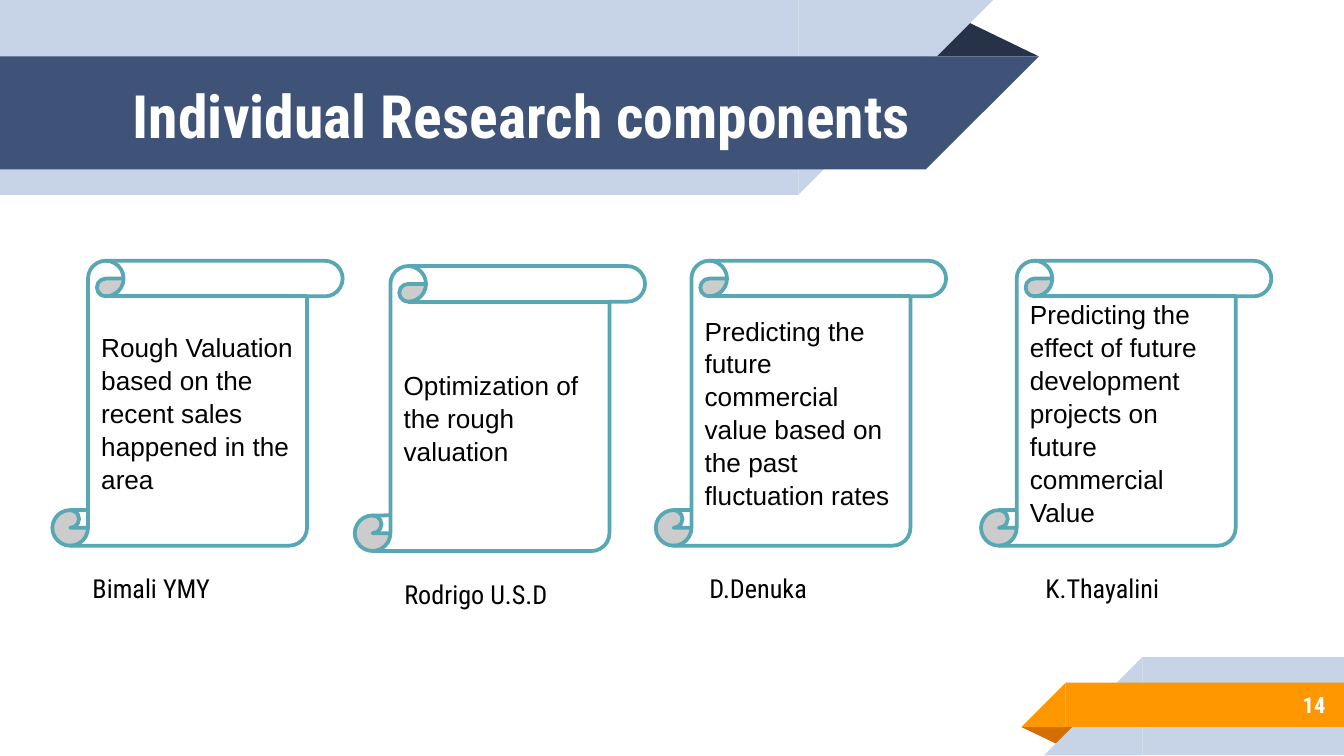
"""Build the slide that lists the individual research components."""
from dataclasses import dataclass
from typing import Optional

from pptx import Presentation
from pptx.dml.color import RGBColor
from pptx.enum.shapes import MSO_SHAPE as Shape
from pptx.enum.text import MSO_ANCHOR as Anchor, PP_ALIGN as Align
from pptx.util import Inches, Pt

COLORS = {
    "pale": "C7D3E6", "navy": "3F5378", "dark": "263248",
    "orange": "FF9800", "rust": "D26F00", "teal": "57A7B5",
    "white": "FFFFFF", "black": "000000",
}
COLUMNS, ROWS = 100, 56.25
CELL = Inches(10) / COLUMNS
HEADING, BODY = "Roboto Condensed", "Arial"


@dataclass(frozen=True)
class Box:
    left: float
    top: float
    width: float
    height: float

    def emu(self) -> list[int]:
        return [round(v * CELL) for v in (self.left, self.top, self.width, self.height)]


@dataclass(frozen=True)
class Ribbon:
    tip: float
    top: float
    height: float
    color: str
    from_left: bool


@dataclass(frozen=True)
class Fold:
    box: Box
    color: str
    rotation: int


@dataclass(frozen=True)
class Style:
    size: int
    font: str
    color: str
    bold: bool = False
    align: Optional[Align] = None
    anchor: Anchor = Anchor.TOP
    spacing: Optional[float] = None


@dataclass(frozen=True)
class Component:
    scroll_left: float
    scroll_top: float
    topic: str
    name_box: Box
    name: str


RIBBONS_TOP = [Ribbon(73.9, 0, 14.5, "pale", True), Ribbon(77.3, 4.2, 8.4, "navy", True)]
RIBBONS_BOTTOM = [Ribbon(77.7, 48.9, 7.3, "pale", False), Ribbon(76, 50.8, 3.3, "orange", False)]
FOLD_TOP = Fold(Box(68.8, 1.4, 8.5, 2.8), "dark", 0)
FOLD_BOTTOM = Fold(Box(76, 54.1, 4.3, 1.4), "rust", 180)

TITLE = Style(32, HEADING, "white", bold=True, anchor=Anchor.MIDDLE)
TOPIC = Style(14, BODY, "black", align=Align.LEFT, anchor=Anchor.MIDDLE, spacing=1.05)
NAME = Style(14, HEADING, "black")
NUMBER = Style(12, HEADING, "white", bold=True, align=Align.RIGHT, anchor=Anchor.MIDDLE)

COMPONENTS = [
    Component(3.9, 19.4, "Rough Valuation based on the recent sales happened in the area",
              Box(5.9, 41.6, 17.6, 5.5), "Bimali YMY"),
    Component(26.4, 19.8, "Optimization of the rough valuation",
              Box(29.1, 42, 13.1, 4.5), "Rodrigo U.S.D"),
    Component(48.8, 19.4, "Predicting the future commercial value based on the past fluctuation rates",
              Box(51.8, 41.6, 13.1, 5.5), "D.Denuka"),
    Component(73, 19.4, "Predicting the effect of future development projects on future commercial Value",
              Box(76.8, 41.6, 14, 5.5), "K.Thayalini"),
]


def rgb(name: str) -> RGBColor:
    return RGBColor.from_string(COLORS[name])


def add_solid(s, kind: Shape, box: Box, color: str):
    sp = s.shapes.add_shape(kind, *box.emu())
    sp.shadow.inherit = False
    sp.fill.solid()
    sp.fill.fore_color.rgb = rgb(color)
    sp.line.fill.background()
    return sp


def add_ribbon(s, ribbon: Ribbon) -> None:
    tip, top, height = ribbon.tip, ribbon.top, ribbon.height
    if ribbon.from_left:
        body, end, flip = Box(0, top, tip - height, height), tip - height, "flipV"
    else:
        body, end, flip = Box(tip + height, top, COLUMNS - tip - height, height), tip, "flipH"
    add_solid(s, Shape.RECTANGLE, body, ribbon.color)
    slant = add_solid(s, Shape.RIGHT_TRIANGLE, Box(end, top, height, height), ribbon.color)
    slant._element.spPr.xfrm.set(flip, "1")


def add_fold(s, fold: Fold) -> None:
    sp = add_solid(s, Shape.ISOSCELES_TRIANGLE, fold.box, fold.color)
    sp.adjustments[0] = 0.32
    sp.rotation = fold.rotation


def write(sp, text: str, style: Style) -> None:
    tf = sp.text_frame
    tf.word_wrap = True
    tf.vertical_anchor = style.anchor
    tf.margin_left = tf.margin_right = tf.margin_top = tf.margin_bottom = Inches(0.1)
    p = tf.paragraphs[0]
    p.text = text
    p.alignment = style.align
    p.line_spacing = style.spacing
    p.font.size = Pt(style.size)
    p.font.name = style.font
    p.font.bold = style.bold
    p.font.color.rgb = rgb(style.color)


def add_text(s, box: Box, text: str, style: Style) -> None:
    write(s.shapes.add_textbox(*box.emu()), text, style)


def add_component(s, item: Component) -> None:
    box = Box(item.scroll_left, item.scroll_top, 21.6, 21.2)
    sp = add_solid(s, Shape.VERTICAL_SCROLL, box, "white")
    sp.line.color.rgb = rgb("teal")
    sp.line.width = Pt(2)
    write(sp, item.topic, TOPIC)
    add_text(s, item.name_box, item.name, NAME)


def main() -> None:
    prs = Presentation()
    prs.slide_width, prs.slide_height = round(COLUMNS * CELL), round(ROWS * CELL)
    s = prs.slides.add_slide(prs.slide_layouts[6])
    for fold, ribbons in ((FOLD_TOP, RIBBONS_TOP), (FOLD_BOTTOM, RIBBONS_BOTTOM)):
        add_fold(s, fold)
        for ribbon in ribbons:
            add_ribbon(s, ribbon)
    add_text(s, Box(8.9, 4.3, 60.1, 8.4), "Individual Research components", TITLE)
    for item in COMPONENTS:
        add_component(s, item)
    add_text(s, Box(83.3, 50.7, 16.3, 3.5), "14", NUMBER)
    prs.save("out.pptx")


if __name__ == "__main__":
    main()
